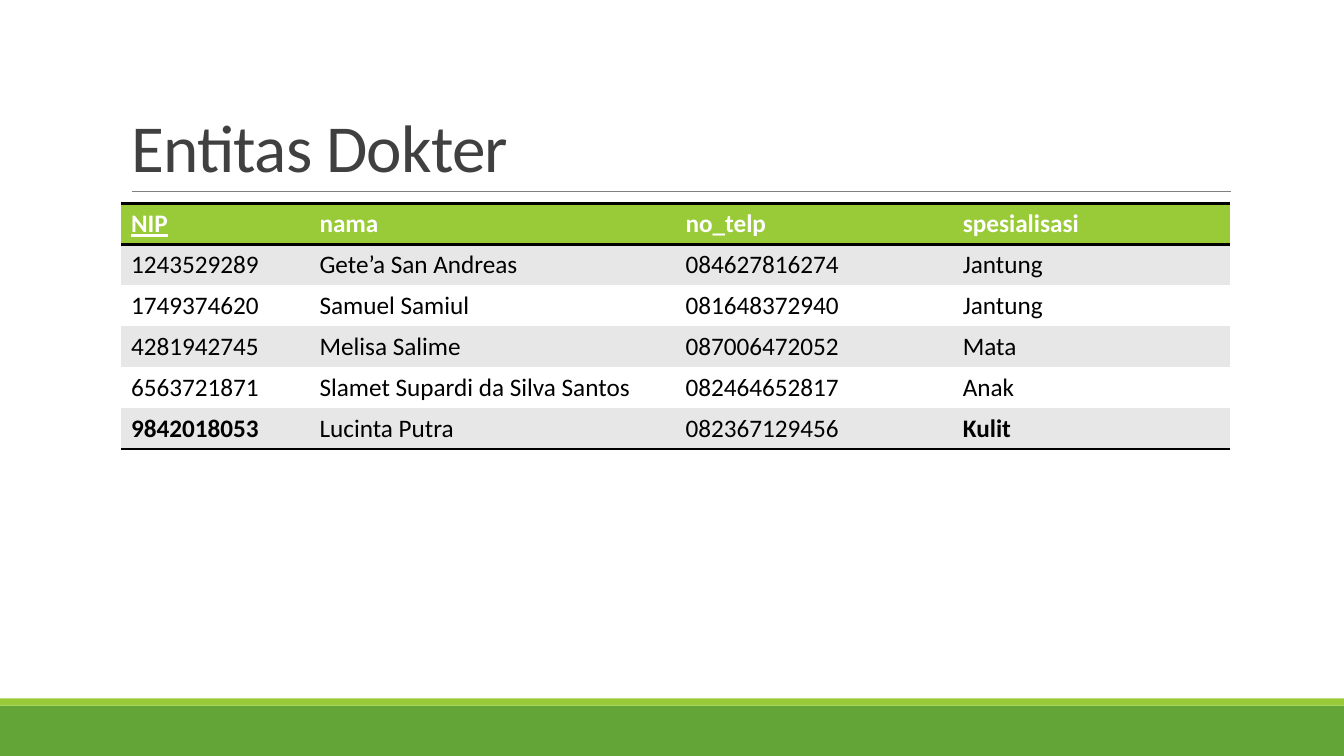
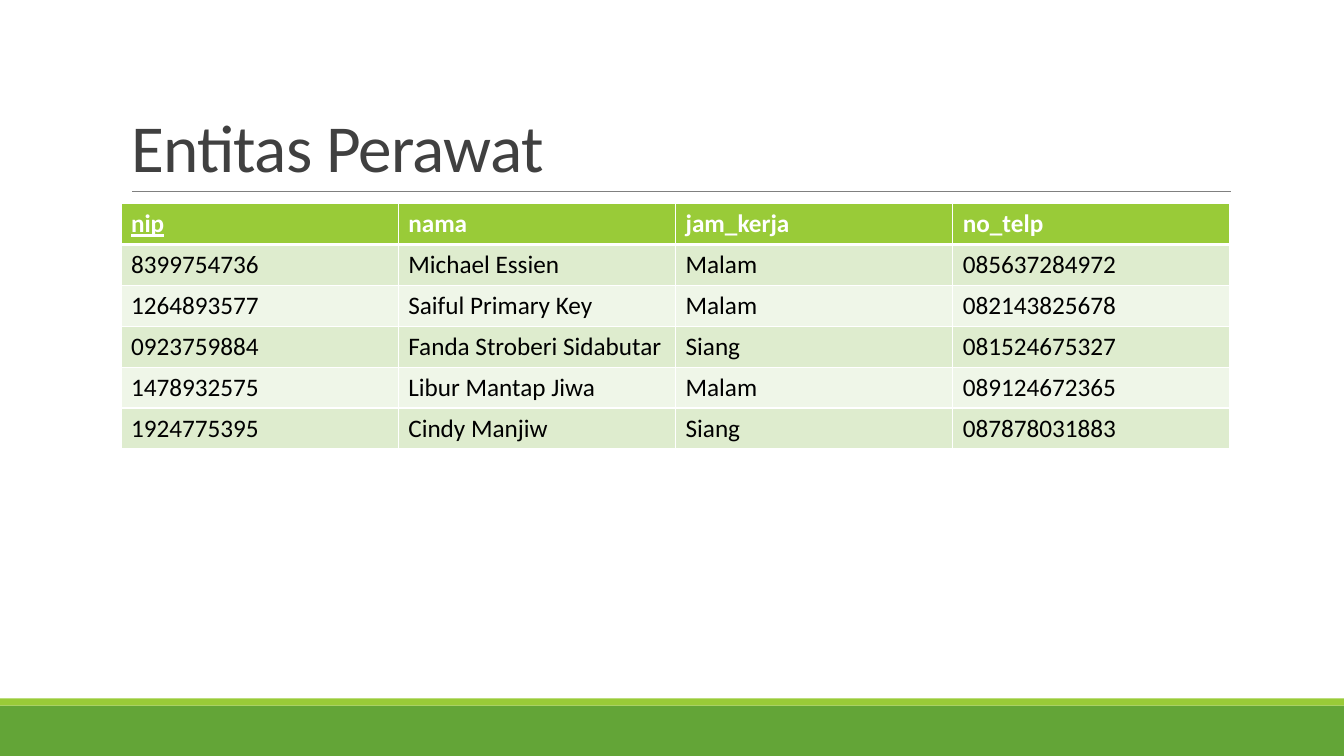
import pptx
import pptx.dml.color
import pptx.enum.shapes
import pptx.enum.text
import pptx.oxml.ns
import pptx.util
from lxml import etree

WIDTH, HEIGHT = 13.33, 7.5
FONT = "Calibri"
COLORS = {"green": "63A537", "lime": "99CB38", "rule": "808080",
          "title": "404040", "black": "000000", "white": "FFFFFF"}
BANDS = [("green", 7, 0.5), ("lime", 6.93, 0.07)]
TITLE_BOX = (1.2, 0.31, 11, 1.59)
RULE = (1.31, 12.21, 1.9)
TABLE_LEFT, TABLE_TOP, TABLE_WIDTH, ROW_HEIGHT = 1.2, 2.02, 11, 0.405
NO_STYLE = "{2D5ABB26-0587-4C30-8999-92F81FD0307C}"

# rules: widths in points of the horizontal lines, from the table's top to its bottom
SLIDES = [
    {
        "title": "Entitas Dokter",
        "rows": [
            ("NIP", "nama", "no_telp", "spesialisasi"),
            ("1243529289", "Gete’a San Andreas", "084627816274", "Jantung"),
            ("1749374620", "Samuel Samiul", "081648372940", "Jantung"),
            ("4281942745", "Melisa Salime", "087006472052", "Mata"),
            ("6563721871", "Slamet Supardi da Silva Santos", "082464652817", "Anak"),
            ("9842018053", "Lucinta Putra", "082367129456", "Kulit"),
        ],
        "shares": (0.17, 0.33, 0.25, 0.25),
        "stripes": ("E7E7E7", "FFFFFF"),
        "line_color": "black",
        "rules": (2, 2, 0, 0, 0, 0, 2),
        "column_line": 0,
        "bold": {(5, 0), (5, 3)},
    },
    {
        "title": "Entitas Perawat",
        "rows": [
            ("nip", "nama", "jam_kerja", "no_telp"),
            ("8399754736", "Michael Essien", "Malam", "085637284972"),
            ("1264893577", "Saiful Primary Key", "Malam", "082143825678"),
            ("0923759884", "Fanda Stroberi Sidabutar", "Siang", "081524675327"),
            ("1478932575", "Libur Mantap Jiwa", "Malam", "089124672365"),
            ("1924775395", "Cindy Manjiw", "Siang", "087878031883"),
        ],
        "shares": (0.25, 0.25, 0.25, 0.25),
        "stripes": ("DEECCE", "EFF6E8"),
        "line_color": "white",
        "rules": (1, 3, 1, 1, 1, 1, 1),
        "column_line": 1,
        "bold": set(),
    },
]


def rgb(value):
    return pptx.dml.color.RGBColor.from_string(value)


def inches(*values):
    return [pptx.util.Inches(value) for value in values]


def apply(target, values):
    for name, value in values.items():
        setattr(target, name, value)


def format_font(font, color, size, **values):
    apply(font, {"name": FONT, "size": pptx.util.Pt(size), **values})
    font.color.rgb = rgb(color)


def add_bands(slide):
    for color, top, height in BANDS:
        band = slide.shapes.add_shape(pptx.enum.shapes.MSO_SHAPE.RECTANGLE,
                                      *inches(0, top, WIDTH, height))
        band.shadow.inherit = False
        band.fill.solid()
        band.fill.fore_color.rgb = rgb(COLORS[color])
        band.line.fill.background()


def add_title_rule(slide):
    left, right, top = RULE
    rule = slide.shapes.add_connector(pptx.enum.shapes.MSO_CONNECTOR.STRAIGHT,
                                      *inches(left, top, right, top))
    rule.line.color.rgb = rgb(COLORS["rule"])
    rule.line.width = pptx.util.Pt(0.5)
    etree.SubElement(rule._element.spPr, pptx.oxml.ns.qn("a:effectLst"))


def set_title(slide, text):
    title = slide.shapes.title
    apply(title, dict(zip(("left", "top", "width", "height"), inches(*TITLE_BOX))))
    frame = title.text_frame
    apply(frame, {"text": text, "word_wrap": True,
                  "auto_size": pptx.enum.text.MSO_AUTO_SIZE.NONE,
                  "vertical_anchor": pptx.enum.text.MSO_ANCHOR.BOTTOM})
    paragraph = frame.paragraphs[0]
    apply(paragraph, {"alignment": pptx.enum.text.PP_ALIGN.LEFT, "line_spacing": 0.85})
    run = paragraph.runs[0]
    format_font(run.font, COLORS["title"], 48)
    run._r.get_or_add_rPr().set("spc", "-50")


def set_borders(cell, color, widths):
    """Draw left, right, top and bottom lines; a width of 0 means no line."""
    properties = cell._tc.get_or_add_tcPr()
    for side, width in zip("LRTB", widths):
        line = etree.SubElement(properties, pptx.oxml.ns.qn("a:ln" + side),
                                w=str(pptx.util.Pt(width)))
        if width:
            fill = etree.SubElement(line, pptx.oxml.ns.qn("a:solidFill"))
            etree.SubElement(fill, pptx.oxml.ns.qn("a:srgbClr"), val=color)
        else:
            etree.SubElement(line, pptx.oxml.ns.qn("a:noFill"))


def add_table(slide, content):
    rows, shares = content["rows"], content["shares"]
    frame = slide.shapes.add_table(
        len(rows), len(shares),
        *inches(TABLE_LEFT, TABLE_TOP, TABLE_WIDTH, ROW_HEIGHT * len(rows)))
    table = frame.table
    table._tbl.tblPr.find(pptx.oxml.ns.qn("a:tableStyleId")).text = NO_STYLE
    for column, share in zip(table.columns, shares):
        column.width = pptx.util.Inches(TABLE_WIDTH * share)
    for row_index, texts in enumerate(rows):
        header = row_index == 0
        table.rows[row_index].height = pptx.util.Inches(ROW_HEIGHT)
        background = COLORS["lime"] if header else content["stripes"][(row_index - 1) % 2]
        side = content["column_line"]
        widths = (side, side, *content["rules"][row_index:row_index + 2])
        for column_index, text in enumerate(texts):
            cell = table.cell(row_index, column_index)
            set_borders(cell, COLORS[content["line_color"]], widths)
            cell.fill.solid()
            cell.fill.fore_color.rgb = rgb(background)
            cell.text = text
            format_font(cell.text_frame.paragraphs[0].runs[0].font,
                        COLORS["white" if header else "black"], 18,
                        bold=header or (row_index, column_index) in content["bold"],
                        underline=header and column_index == 0)


def main():
    presentation = pptx.Presentation()
    apply(presentation, dict(zip(("slide_width", "slide_height"), inches(WIDTH, HEIGHT))))
    for content in SLIDES:
        slide = presentation.slides.add_slide(presentation.slide_layouts[5])
        add_bands(slide)
        add_title_rule(slide)
        set_title(slide, content["title"])
        add_table(slide, content)
    presentation.save("out.pptx")


if __name__ == "__main__":
    main()
